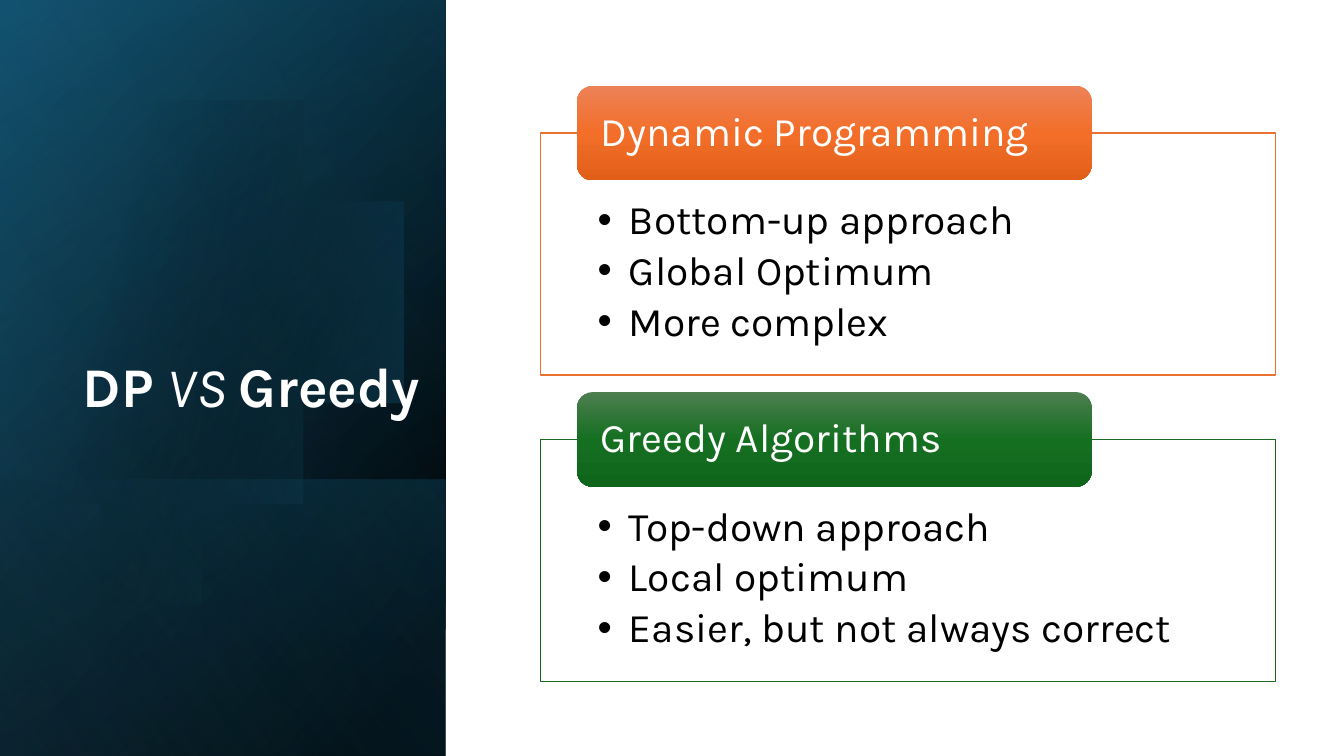
from dataclasses import dataclass
from math import cos, radians, sin

from lxml.etree import SubElement
from pptx import Presentation
from pptx.dml.color import RGBColor
from pptx.enum.shapes import MSO_SHAPE
from pptx.enum.text import MSO_ANCHOR, PP_ALIGN
from pptx.oxml.ns import qn
from pptx.util import Inches, Pt

W, H = 13.33, 7.5
SIDE_W = 4.42                       # width of the dark side panel
CARD_X, CARD_Y = 0.402 * W, 0.176 * H
CARD_W, CARD_H = 0.547 * W, 0.32 * H
CARD_PITCH = 0.4053 * H
TAB_W, TAB_H = 0.7 * CARD_W, 0.94   # heading tab, centred on the card's top edge
TAB_INDENT = 0.05 * CARD_W
BULLET_INDENT = 0.31


@dataclass(frozen=True)
class Theme:
    font: str = "Karla"
    title_size: int = 40
    body_size: int = 29
    white: str = "FFFFFF"
    black: str = "000000"
    navy: str = "104862"
    teal: str = "156082"
    sky: str = "46B1E1"
    orange: str = "E97132"
    green: str = "196B24"
    orange_tab: tuple = ((0, "ED8257"), (50, "F26E29"), (100, "E25F1A"))
    green_tab: tuple = ((0, "4D7E50"), (50, "156F21"), (100, "0F661B"))


THEME = Theme()

# Layers of the side panel: top, height, gradient angle, (position, colour, opacity) stops
SIDE_LAYERS = [
    (0, H, 50, [(8, THEME.black), (100, THEME.navy)]),
    (0, H, 30, [(0, THEME.black, 0), (99, THEME.teal, 46)]),
    (4.76, H - 4.76, 130, [(2, THEME.teal, 29), (100, THEME.black, 30)]),
]
GLOSS_LAYER = (0, H, 120, [(0, THEME.black, 0), (99, THEME.sky, 11)])

CARDS = [
    ("Dynamic Programming", THEME.orange, THEME.orange_tab,
     ["Bottom-up approach", "Global Optimum", "More complex"]),
    ("Greedy Algorithms", THEME.green, THEME.green_tab,
     ["Top-down approach", "Local optimum", "Easier, but not always correct"]),
]


def set_all(obj, values):
    for name, value in values.items():
        setattr(obj, name, value)


def set_gradient(sp, angle, stops):
    """Fill a shape with a linear gradient; angle is clockwise degrees."""
    sp.fill.gradient()
    grad = sp._element.spPr.find(qn("a:gradFill"))
    for child in list(grad):
        grad.remove(child)
    grad.set("rotWithShape", "1")
    gs_list = SubElement(grad, qn("a:gsLst"))
    for position, color, *opacity in stops:
        gs = SubElement(gs_list, qn("a:gs"), pos=str(position * 1000))
        clr = SubElement(gs, qn("a:srgbClr"), val=color)
        for share in opacity:
            SubElement(clr, qn("a:alpha"), val=str(share * 1000))
    SubElement(grad, qn("a:lin"), ang=str(angle * 60000), scaled="0")


def add_box(slide, kind, x, y, w, h):
    sp = slide.shapes.add_shape(kind, Inches(x), Inches(y), Inches(w), Inches(h))
    sp.shadow.inherit = False
    sp.line.fill.background()
    return sp


def add_side_layer(slide, top, height, angle, stops):
    """Draw a layer turned a quarter and mirrored, so its gradient turns with it."""
    x, y = (SIDE_W - height) / 2, top + (height - SIDE_W) / 2
    sp = add_box(slide, MSO_SHAPE.RECTANGLE, x, y, height, SIDE_W)
    sp.rotation = 90
    sp._element.spPr.xfrm.set("flipH", "1")
    set_gradient(sp, angle, stops)


def add_disc(slide, cx, cy, radius):
    """Draw a disc cut off along the slide's left edge."""
    points = [(cx + radius * cos(radians(a)), cy + radius * sin(radians(a)))
              for a in range(-128, 129, 2)]
    builder = slide.shapes.build_freeform(*points[0], scale=Inches(1))
    builder.add_line_segments(points[1:], close=True)
    sp = builder.convert_to_shape()
    sp.shadow.inherit = False
    sp.line.fill.background()
    set_gradient(sp, 14, [(29, THEME.black, 0), (100, THEME.teal, 43)])


def set_frame(tf, anchor, left, top, right, bottom):
    set_all(tf, {
        "word_wrap": True, "vertical_anchor": anchor,
        "margin_left": Inches(left), "margin_top": Inches(top),
        "margin_right": Inches(right), "margin_bottom": Inches(bottom),
    })


def add_run(p, text, size, color, **style):
    r = p.add_run()
    r.text = text
    set_all(r.font, {"name": THEME.font, "size": Pt(size), **style})
    r.font.color.rgb = RGBColor.from_string(color)


def add_title(slide, parts):
    box = slide.shapes.add_textbox(0, Inches(1.59), Inches(0.32 * W), Inches(0.35 * H))
    tf = box.text_frame
    set_frame(tf, MSO_ANCHOR.BOTTOM, 0.1, 0.05, 0.1, 0.05)
    p = tf.paragraphs[0]
    set_all(p, {"alignment": PP_ALIGN.RIGHT, "line_spacing": 0.9})
    for text, style in parts:
        add_run(p, text, THEME.title_size, THEME.white, **style)


def add_bullet(p):
    pPr = p._p.get_or_add_pPr()
    pPr.set("marL", str(Inches(BULLET_INDENT)))
    pPr.set("indent", str(-Inches(BULLET_INDENT)))
    SubElement(pPr, qn("a:buFont"), typeface="Arial")
    SubElement(pPr, qn("a:buChar"), char="•")


def add_card(slide, row, heading, color, tab_stops, points):
    y = CARD_Y + row * CARD_PITCH
    card = add_box(slide, MSO_SHAPE.RECTANGLE, CARD_X, y, CARD_W, CARD_H)
    card.fill.solid()
    card.fill.fore_color.rgb = RGBColor.from_string(THEME.white)
    card.line.color.rgb = RGBColor.from_string(color)
    card.line.width = Pt(1)
    tf = card.text_frame
    set_frame(tf, MSO_ANCHOR.TOP, 0.57, 0.66, 0.57, 0.23)
    for i, point in enumerate(points):
        p = tf.add_paragraph() if i else tf.paragraphs[0]
        set_all(p, {"alignment": PP_ALIGN.LEFT, "line_spacing": 0.9, "space_after": Pt(5)})
        add_bullet(p)
        add_run(p, point, THEME.body_size, THEME.black)

    tab = add_box(slide, MSO_SHAPE.ROUNDED_RECTANGLE,
                  CARD_X + TAB_INDENT, y - TAB_H / 2, TAB_W, TAB_H)
    set_gradient(tab, 90, tab_stops)
    set_frame(tab.text_frame, MSO_ANCHOR.MIDDLE, 0.19, 0, 0.19, 0)
    p = tab.text_frame.paragraphs[0]
    set_all(p, {"alignment": PP_ALIGN.LEFT, "line_spacing": 0.9})
    add_run(p, heading, THEME.body_size, THEME.white)


def main():
    prs = Presentation()
    set_all(prs, {"slide_width": Inches(W), "slide_height": Inches(H)})
    slide = prs.slides.add_slide(prs.slide_layouts[6])
    for layer in SIDE_LAYERS:
        add_side_layer(slide, *layer)
    add_disc(slide, 1.43, 3.38, 2.28)
    add_side_layer(slide, *GLOSS_LAYER)
    add_title(slide, [("DP ", {"bold": True}), ("VS ", {"italic": True}),
                      ("Greedy", {"bold": True})])
    for row, card in enumerate(CARDS):
        add_card(slide, row, *card)
    prs.save("out.pptx")


if __name__ == "__main__":
    main()
